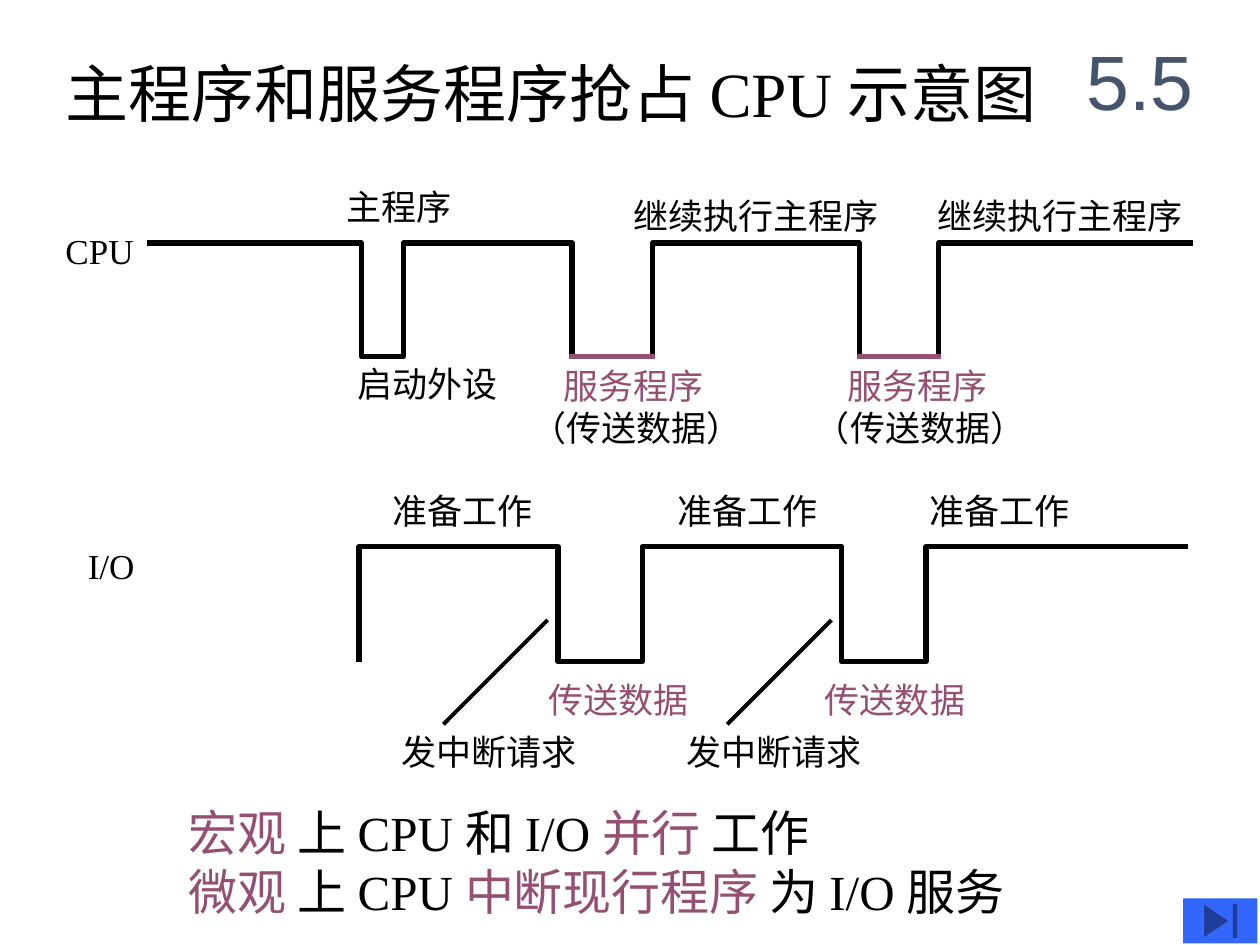
import pptx
import pptx.dml.color
import pptx.enum.shapes
import pptx.enum.text
import pptx.oxml
import pptx.util

Cm = pptx.util.Cm
Pt = pptx.util.Pt
RGBColor = pptx.dml.color.RGBColor

BLACK = RGBColor(0x00, 0x00, 0x00)
PLUM = RGBColor(0x95, 0x4F, 0x72)
SLATE = RGBColor(0x44, 0x54, 0x6A)
BLUE = RGBColor(0x33, 0x66, 0xFF)
SERIF = "Times New Roman"
SANS = "Arial"


def add_text(slide, box, lines, size=20, font=SERIF, wrap=False):
    shape = slide.shapes.add_textbox(*[Cm(side) for side in box])
    frame = shape.text_frame
    frame.word_wrap = wrap
    for index, line in enumerate(lines):
        para = frame.paragraphs[0] if index == 0 else frame.add_paragraph()
        for words, color in line:
            run = para.add_run()
            run.text = words
            run.font.size = Pt(size)
            run.font.name = font
            run.font.color.rgb = color
    return frame


def add_label(slide, words, width, spots, color=BLACK):
    for left, top in spots:
        add_text(slide, (left, top, width, 1.12), [[(words, color)]])


def add_service(slide, left, top):
    lines = [[("服务程序", PLUM)], [("（传送数据）", BLACK)]]
    frame = add_text(slide, (left, top, 4.75, 1.96), lines)
    props = frame.paragraphs[0]._p.get_or_add_pPr()
    props.set("marL", str(Cm(0.65)))
    props.set("indent", "0")


def add_wave(slide, start, edges, end, high, low):
    level, other = start[1], low if start[1] == high else high
    points = []
    for edge in edges:
        points += [(edge, level), (edge, other)]
        level, other = other, level
    points.append((end, level))
    pen = slide.shapes.build_freeform(Cm(start[0]), Cm(start[1]))
    pen.add_line_segments([(Cm(x), Cm(y)) for x, y in points], close=False)
    wave = pen.convert_to_shape()
    wave.shadow.inherit = False
    wave.fill.background()
    wave.line.color.rgb = BLACK
    wave.line.width = Pt(3)


def add_line(slide, start, end, color, width):
    ends = [Cm(value) for value in start + end]
    kind = pptx.enum.shapes.MSO_CONNECTOR.STRAIGHT
    line = slide.shapes.add_connector(kind, *ends)
    line.line.color.rgb = color
    line.line.width = Pt(width)
    props = line._element.spPr
    props.append(pptx.oxml.parse_xml(
        '<a:effectLst xmlns:a="http://schemas.openxmlformats.org/drawingml/2006/main"/>'))


def add_button(slide):
    kind = pptx.enum.shapes.MSO_SHAPE.ACTION_BUTTON_END
    button = slide.shapes.add_shape(kind, Cm(23.85), Cm(18.11), Cm(1.5), Cm(0.91))
    button.shadow.inherit = False
    button.fill.solid()
    button.fill.fore_color.rgb = BLUE
    button.line.fill.background()


def draw_device(slide):
    add_wave(slide, (7.24, 13.34), [7.24, 11.25, 12.95, 16.97, 18.67], 23.95, 11.02, 13.34)
    add_label(slide, "准备工作", 3.33, [(7.67, 9.74), (13.41, 9.74), (18.49, 9.74)])
    add_label(slide, "传送数据", 3.33, [(10.8, 13.55), (16.38, 13.55)], PLUM)
    add_label(slide, "发中断请求", 4.04, [(7.85, 14.6), (13.59, 14.6)])
    add_label(slide, "I/O", 1.45, [(1.52, 10.85)])
    for left in (8.94, 14.66):
        add_line(slide, (left, 14.6), (left + 2.1, 12.5), BLACK, 2.25)


def draw_host(slide):
    low = 7.19
    edges = [7.29, 8.13, 11.53, 13.16, 17.32, 18.92]
    add_wave(slide, (2.97, 4.9), edges, 24.05, 4.9, low)
    add_label(slide, "主程序", 2.62, [(6.73, 3.61)])
    add_label(slide, "继续执行主程序", 5.46, [(12.52, 3.8), (18.64, 3.8)])
    add_label(slide, "启动外设", 3.33, [(6.96, 7.19)])
    add_label(slide, "CPU", 1.88, [(1.07, 4.5)])
    for left in (10.46, 16.18):
        add_service(slide, left, 7.22)
    for left, right in (edges[2:4], edges[4:6]):
        add_line(slide, (left - 0.05, low), (right + 0.05, low), PLUM, 3)


def main():
    deck = pptx.Presentation()
    deck.slide_width = Cm(25.4)
    deck.slide_height = Cm(19.05)
    slide = deck.slides.add_slide(deck.slide_layouts[6])

    title = [[("主程序和服务程序抢占 CPU 示意图", BLACK)]]
    add_text(slide, (1.07, 0.97, 20.65, 3.3), title, 36, wrap=True)
    draw_device(slide)
    summary = [
        [("宏观 ", PLUM), ("上 CPU 和 I/O ", BLACK), ("并行 ", PLUM), ("工作", BLACK)],
        [("微观 ", PLUM), ("上 CPU ", BLACK), ("中断现行程序 ", PLUM), ("为 I/O 服务", BLACK)],
    ]
    add_text(slide, (3.56, 16.05, 20.37, 2.64), summary, 28, wrap=True)
    draw_host(slide)
    number = add_text(slide, (21.39, 0.43, 3.18, 2.34), [[("5.5", SLATE)]], 44, SANS, True)
    number.vertical_anchor = pptx.enum.text.MSO_ANCHOR.MIDDLE
    number.paragraphs[0].alignment = pptx.enum.text.PP_ALIGN.CENTER
    add_button(slide)

    deck.save("out.pptx")


if __name__ == "__main__":
    main()
